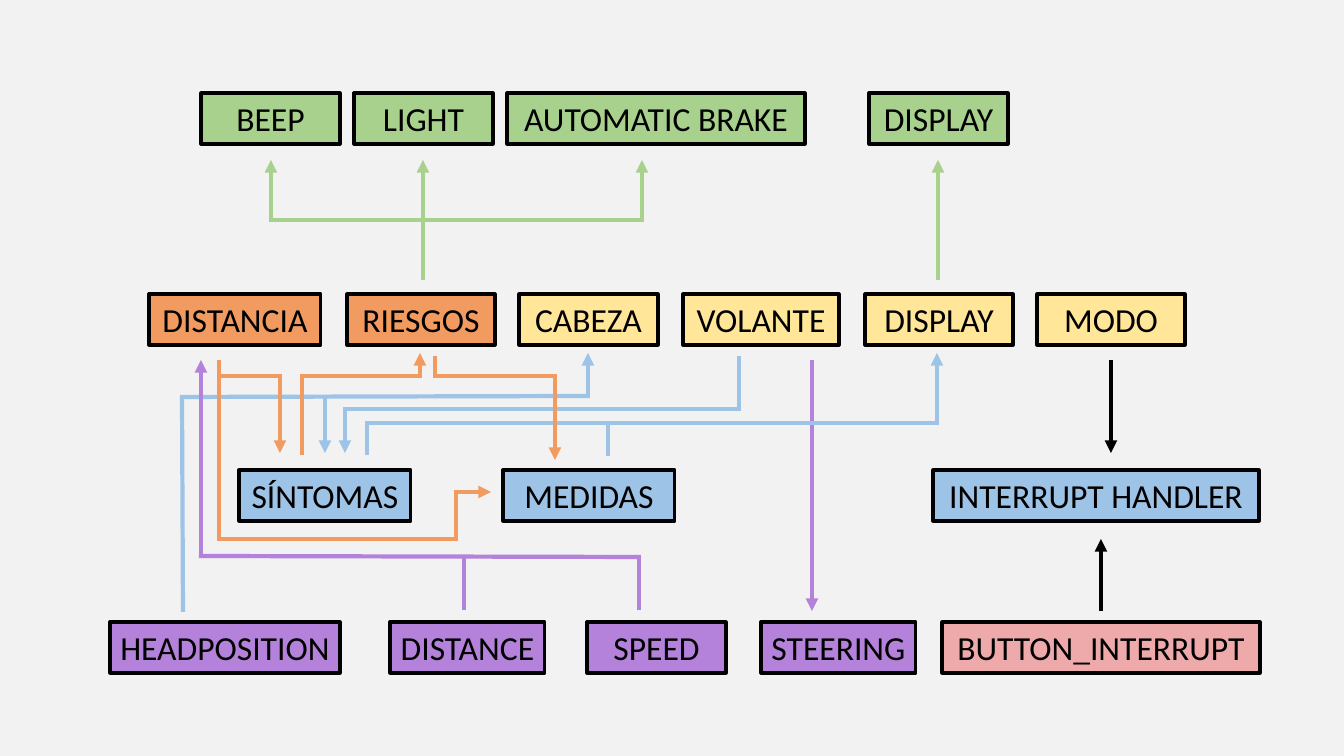
import pptx
import pptx.util
import pptx.dml.color
import pptx.enum.shapes
import pptx.enum.text
import pptx.oxml.ns
import lxml.etree

HUES = {
    "back": "F2F2F2", "black": "000000", "green": "A9D18E", "gold": "FFE699",
    "orange": "F19B61", "blue": "9DC3E6", "purple": "B482DA", "pink": "EEAAAA",
}

ROWS = [
    (93, [("BEEP", 201, 139, "green"), ("LIGHT", 354, 139, "green"),
          ("AUTOMATIC BRAKE", 507, 298, "green"), ("DISPLAY", 869, 139, "green")]),
    (294, [("DISTANCIA", 149, 172, "orange"), ("RIESGOS", 347, 148, "orange"),
           ("CABEZA", 519, 139, "gold"), ("VOLANTE", 683, 156, "gold"),
           ("DISPLAY", 865, 148, "gold"), ("MODO", 1037, 148, "gold")]),
    (470, [("SÍNTOMAS", 239, 172, "blue"), ("MEDIDAS", 503, 172, "blue"),
           ("INTERRUPT HANDLER", 933, 326, "blue")]),
    (622, [("HEADPOSITION", 110, 230, "purple"), ("DISTANCE", 390, 155, "purple"),
           ("SPEED", 587, 139, "purple"), ("STEERING", 761, 155, "purple"),
           ("BUTTON_INTERRUPT", 942, 318, "pink")]),
]

ROUTES = [
    ("green", True, [(423, 280), (423, 160)]),
    ("green", True, [(423, 220), (642, 220), (642, 160)]),
    ("green", True, [(423, 220), (271, 220), (271, 160)]),
    ("green", True, [(938, 280), (938, 160)]),
    ("black", True, [(1111, 360), (1111, 453)]),
    ("black", True, [(1101, 611), (1101, 539)]),
    ("purple", True, [(812, 360), (812, 611)]),
    ("blue", True, [(183, 612), (182, 397), (588, 396), (588, 353)]),
    ("blue", True, [(325, 396), (325, 453)]),
    ("blue", True, [(739, 356), (739, 409), (345, 409), (345, 453)]),
    ("blue", True, [(367, 455), (367, 423), (937, 423), (937, 353)]),
    ("blue", False, [(608, 456), (608, 423)]),
    ("orange", True, [(219, 360), (219, 539), (456, 539), (456, 492), (491, 492)]),
    ("orange", True, [(219, 376), (280, 376), (280, 453)]),
    ("orange", True, [(302, 455), (302, 376), (420, 376), (420, 353)]),
    ("orange", True, [(435, 356), (435, 376), (555, 376), (555, 460)]),
    ("purple", True, [(639, 610), (639, 557), (201, 556), (201, 360)]),
    ("purple", False, [(464, 610), (464, 557)]),
]

WIDE, HIGH, BOX = 1344, 756, 51
LAP = 2


def px(num):
    return pptx.util.Emu(round(num * 914400 / 100.8))


def hue(name):
    return pptx.dml.color.RGBColor.from_string(HUES[name])


def add_box(slide, text, left, top, width, fill):
    box = slide.shapes.add_shape(pptx.enum.shapes.MSO_SHAPE.RECTANGLE,
                                 px(left), px(top), px(width), px(BOX))
    box.shadow.inherit = False
    box.fill.solid()
    box.fill.fore_color.rgb = hue(fill)
    box.line.color.rgb = hue("black")
    box.line.width = pptx.util.Pt(2.25)
    frame = box.text_frame
    frame.word_wrap = True
    frame.auto_size = pptx.enum.text.MSO_AUTO_SIZE.SHAPE_TO_FIT_TEXT
    frame.margin_left = frame.margin_right = 0
    para = frame.paragraphs[0]
    para.alignment = pptx.enum.text.PP_ALIGN.CENTER
    run = para.add_run()
    run.text = text
    run.font.name = "Calibri"
    run.font.size = pptx.util.Pt(24)
    run.font.color.rgb = hue("black")


def add_line(slide, start, end, color, arrow):
    ends = [px(num) for num in (*start, *end)]
    line = slide.shapes.add_connector(pptx.enum.shapes.MSO_CONNECTOR.STRAIGHT, *ends)
    line.line.color.rgb = hue(color)
    line.line.width = pptx.util.Pt(3)
    props = line._element.spPr
    if arrow:
        lxml.etree.SubElement(props.find(pptx.oxml.ns.qn("a:ln")),
                              pptx.oxml.ns.qn("a:tailEnd"), type="triangle")
    lxml.etree.SubElement(props, pptx.oxml.ns.qn("a:effectLst"))


def add_route(slide, color, arrow, points):
    last = len(points) - 2
    for step, ((x1, y1), (x2, y2)) in enumerate(zip(points, points[1:])):
        if abs(x2 - x1) > abs(y2 - y1):
            lap = LAP if x2 > x1 else -LAP
            x1 -= lap if step > 0 else 0
            x2 += lap if step < last else 0
        add_line(slide, (x1, y1), (x2, y2), color, arrow and step == last)


def main():
    deck = pptx.Presentation()
    deck.slide_width, deck.slide_height = px(WIDE), px(HIGH)
    slide = deck.slides.add_slide(deck.slide_layouts[6])
    slide.background.fill.solid()
    slide.background.fill.fore_color.rgb = hue("back")
    for top, boxes in ROWS:
        for text, left, width, fill in boxes:
            add_box(slide, text, left, top, width, fill)
    for color, arrow, points in ROUTES:
        add_route(slide, color, arrow, points)
    deck.save("out.pptx")


if __name__ == "__main__":
    main()
